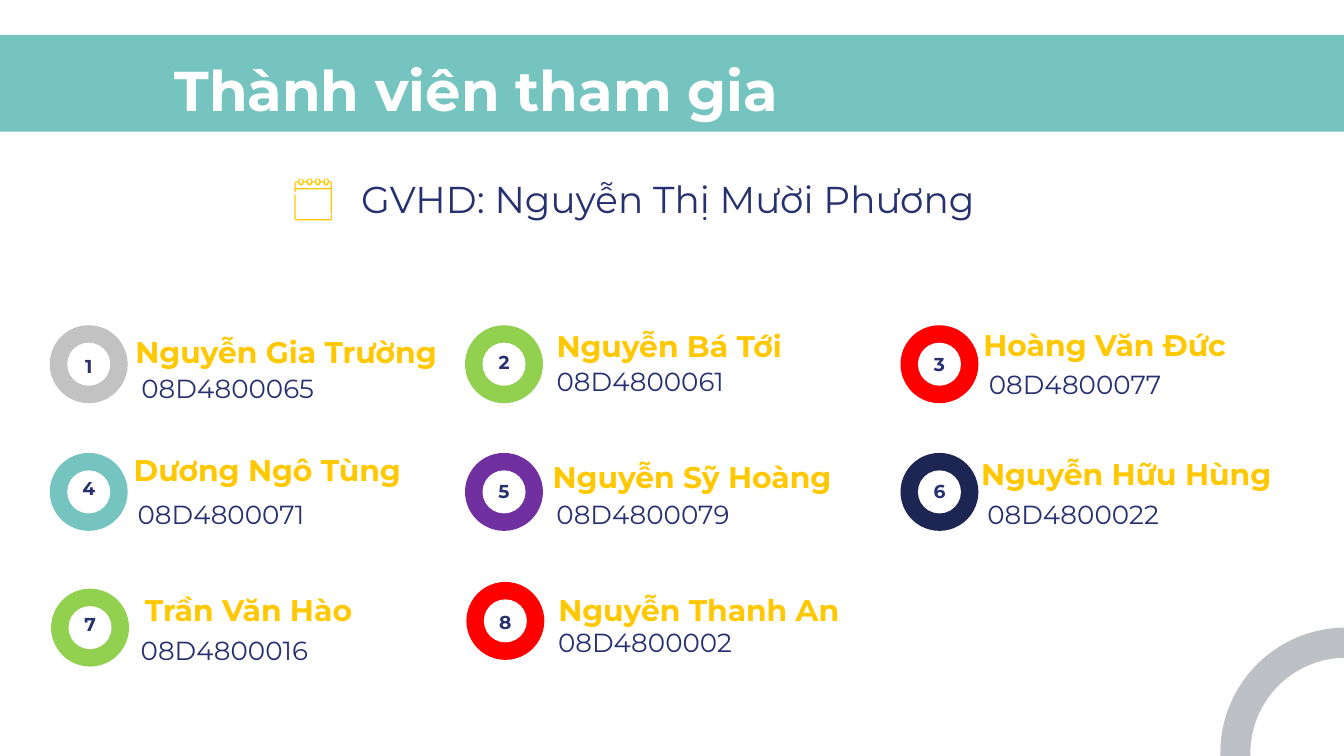
from dataclasses import dataclass

from pptx import Presentation
from pptx.dml.color import RGBColor
from pptx.enum.shapes import MSO_SHAPE
from pptx.enum.text import MSO_ANCHOR, PP_ALIGN
from pptx.util import Inches, Pt

RECTANGLE, OVAL, BLOCK_ARC = MSO_SHAPE.RECTANGLE, MSO_SHAPE.OVAL, MSO_SHAPE.BLOCK_ARC
TOP, MIDDLE = MSO_ANCHOR.TOP, MSO_ANCHOR.MIDDLE
LEFT, CENTER = PP_ALIGN.LEFT, PP_ALIGN.CENTER


@dataclass(frozen=True)
class Theme:
    font: str = "Montserrat"
    white: str = "FFFFFF"
    teal: str = "75C4C0"
    yellow: str = "FFC800"
    navy: str = "27316F"
    midnight: str = "1D2553"
    silver: str = "BDC1C6"
    gray: str = "C2C2C2"
    green: str = "92D050"
    red: str = "FF0000"
    purple: str = "7030A0"
    title_size: int = 30
    advisor_size: int = 20
    name_size: int = 16
    code_size: int = 14
    number_size: int = 10


THEME = Theme()
RING, HOLE = 0.58, 0.32
NAME_WIDTH, TEXT_HEIGHT = 2.46, 0.43
NUMBER_WIDTH, NUMBER_HEIGHT = 0.35, 0.51


@dataclass(frozen=True)
class Member:
    """Name, code and ring colour, then left/top of ring, name and code (with width)."""
    name: str
    code: str
    color: str
    ring: tuple
    number_top: float
    name_at: tuple
    code_at: tuple


MEMBERS = [
    Member("Nguyễn Gia Trường", "08D4800065", THEME.gray,
           (0.37, 2.42), 2.47, (0.9, 2.38), (0.85, 2.67, 1.69)),
    Member("Nguyễn Bá Tới", "08D4800061", THEME.green,
           (3.46, 2.42), 2.44, (3.75, 2.34), (3.88, 2.62, 1.77)),
    Member("Hoàng Văn Đức", "08D4800077", THEME.red,
           (6.7, 2.42), 2.45, (6.99, 2.33), (7.21, 2.64, 1.58)),
    Member("Dương Ngô Tùng", "08D4800071", THEME.teal,
           (0.37, 3.37), 3.38, (0.76, 3.26), (0.74, 3.61, 1.81)),
    Member("Nguyễn Sỹ Hoàng", "08D4800079", THEME.purple,
           (3.46, 3.37), 3.4, (3.92, 3.31), (3.98, 3.61, 1.61)),
    Member("Nguyễn Hữu Hùng", "08D4800022", THEME.midnight,
           (6.7, 3.37), 3.4, (7.15, 3.29), (7.18, 3.61, 1.61)),
    Member("Trần Văn Hào", "08D4800016", THEME.green,
           (0.38, 4.38), 4.39, (0.62, 4.3), (0.86, 4.62, 1.62)),
    Member("Nguyễn Thanh An", "08D4800002", THEME.red,
           (3.47, 4.33), 4.37, (3.97, 4.3), (3.99, 4.56, 1.62)),
]


def paint(shape, color):
    shape.shadow.inherit = False
    shape.fill.solid()
    shape.fill.fore_color.rgb = RGBColor.from_string(color)
    shape.line.fill.background()


def add_filled(page, kind, left, top, width, height, color):
    shape = page.shapes.add_shape(
        kind, Inches(left), Inches(top), Inches(width), Inches(height))
    paint(shape, color)
    return shape


def add_text(page, text, left, top, width, height, *, size, color,
             bold=False, align=CENTER, anchor=TOP):
    box = page.shapes.add_textbox(
        Inches(left), Inches(top), Inches(width), Inches(height))
    frame = box.text_frame
    frame.word_wrap = True
    frame.vertical_anchor = anchor
    frame.margin_left = frame.margin_right = Inches(0.1)
    frame.margin_top = frame.margin_bottom = Inches(0.1)
    para = frame.paragraphs[0]
    para.alignment = align
    span = para.add_run()
    span.text = text
    span.font.name = THEME.font
    span.font.size = Pt(size)
    span.font.bold = bold
    span.font.color.rgb = RGBColor.from_string(color)


def add_outline(page, contours, color):
    """Fill closed contours as one shape; inner contours become holes."""
    loops = [[(Inches(x), Inches(y)) for x, y in contour] for contour in contours]
    builder = page.shapes.build_freeform(*loops[0][0], scale=1.0)
    for index, loop in enumerate(loops):
        if index:
            builder.move_to(*loop[0])
        builder.add_line_segments(loop[1:], close=True)
    paint(builder.convert_to_shape(), color)


def add_calendar(page):
    left, right, top, bottom = 2.19, 2.47, 1.35, 1.64
    line, pitch = 0.01, 0.25 / 4
    outer = [(left, top + line), (left + line, top)]
    header = [(left + line, top + line)]
    slots = []
    for index in range(4):
        x = 2.24 + pitch * index
        outer += [(x - 0.02, top), (x - 0.02, 1.34), (x - 0.01, 1.33),
                  (x + 0.01, 1.33), (x + 0.02, 1.34), (x + 0.02, top)]
        header += [(x - 0.02, top + line), (x - 0.01, 1.38),
                   (x + 0.01, 1.38), (x + 0.02, top + line)]
        slots.append([(x - 0.01, 1.34), (x, 1.33), (x + 0.01, 1.34),
                      (x + 0.01, 1.36), (x, 1.37), (x - 0.01, 1.36)])
    outer += [(right - line, top), (right, top + line), (right, 1.59),
              (right - line, 1.59), (right - line, 1.41), (left + line, 1.41),
              (left + line, 1.43), (left, 1.43)]
    header += [(right - line, top + line), (right - line, 1.4), (left + line, 1.4)]
    add_outline(page, [outer, header, *slots], THEME.yellow)

    tray = [(left, 1.45), (left, bottom - line), (left + line, bottom),
            (right - line, bottom), (right, bottom - line), (right, 1.6),
            (right - line, 1.6), (right - line, bottom - line),
            (left + line, bottom - line), (left + line, 1.45)]
    add_outline(page, [tray], THEME.yellow)


def add_member(page, number, member):
    left, top = member.ring
    inset = (RING - HOLE) / 2
    add_filled(page, OVAL, left, top, RING, RING, member.color)
    add_filled(page, OVAL, left + inset, top + inset, HOLE, HOLE, THEME.white)
    add_text(page, str(number), left + (RING - NUMBER_WIDTH) / 2, member.number_top,
             NUMBER_WIDTH, NUMBER_HEIGHT, size=THEME.number_size,
             color=THEME.navy, bold=True, anchor=MIDDLE)
    add_text(page, member.name, *member.name_at, NAME_WIDTH, TEXT_HEIGHT,
             size=THEME.name_size, color=THEME.yellow, bold=True)
    add_text(page, member.code, *member.code_at, TEXT_HEIGHT,
             size=THEME.code_size, color=THEME.navy)


def add_corner_arc(page):
    arc = add_filled(page, BLOCK_ARC, 9.08, 4.67, 1.87, 1.87, THEME.silver)
    # Angles are stored in 60000ths of a degree, scaled down by 100000.
    arc.adjustments[0] = 178 * 0.6
    arc.adjustments[1] = 272 * 0.6
    arc.adjustments[2] = 0.12


def main():
    deck = Presentation()
    deck.slide_width = Inches(10)
    deck.slide_height = Inches(10) * 9 // 16
    page = deck.slides.add_slide(deck.slide_layouts[6])
    add_filled(page, RECTANGLE, -0.17, 0.26, 10.34, 0.72, THEME.teal)
    add_corner_arc(page)
    add_text(page, "Thành viên tham gia", 1.2, 0.31, 8.46, 0.63,
             size=THEME.title_size, color=THEME.white, bold=True, align=LEFT)
    add_calendar(page)
    add_text(page, "GVHD: Nguyễn Thị Mười Phương", 2.41, 1.26, 5.12, 0.44,
             size=THEME.advisor_size, color=THEME.navy, anchor=MIDDLE)
    for number, member in enumerate(MEMBERS, start=1):
        add_member(page, number, member)
    deck.save("out.pptx")


if __name__ == "__main__":
    main()
